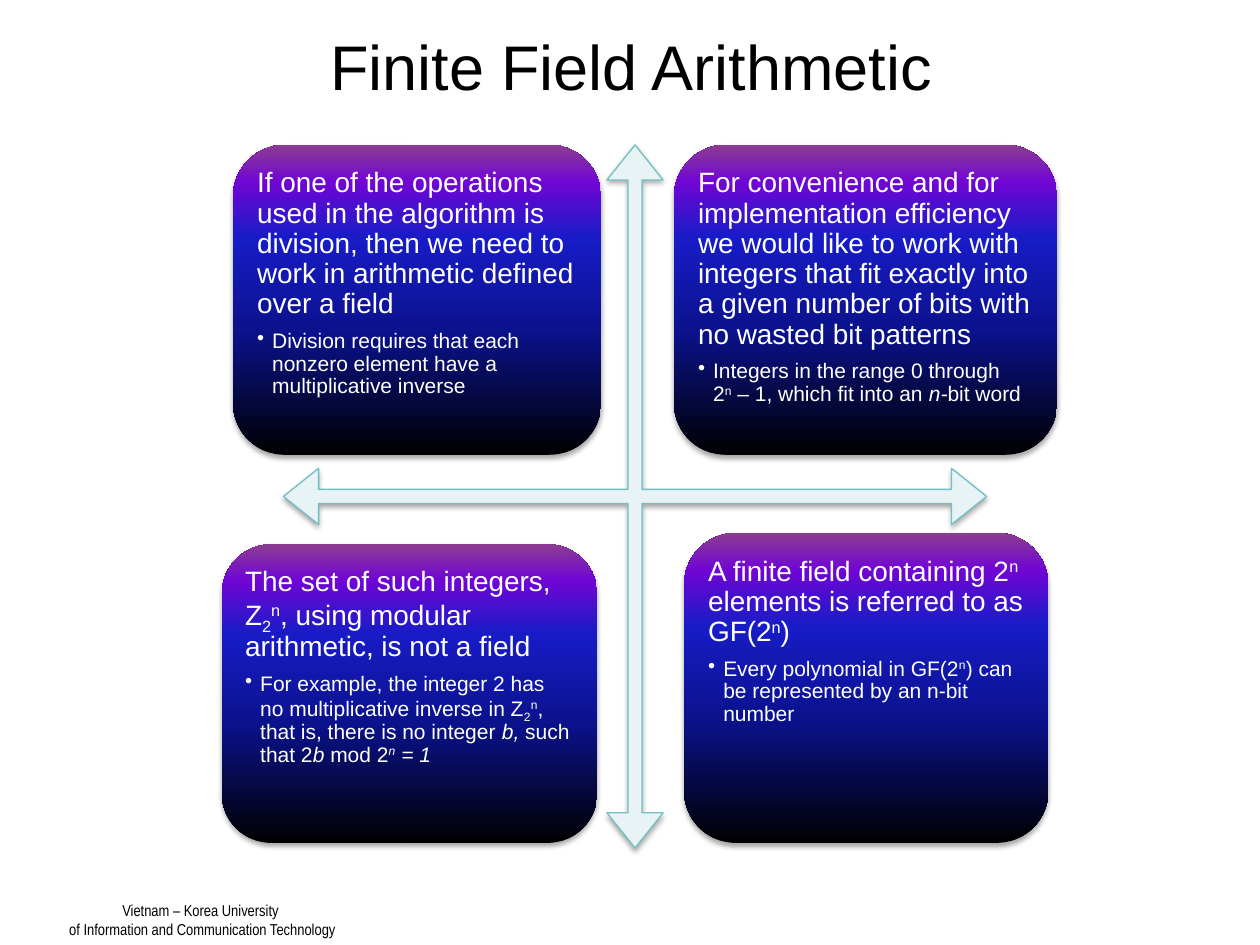
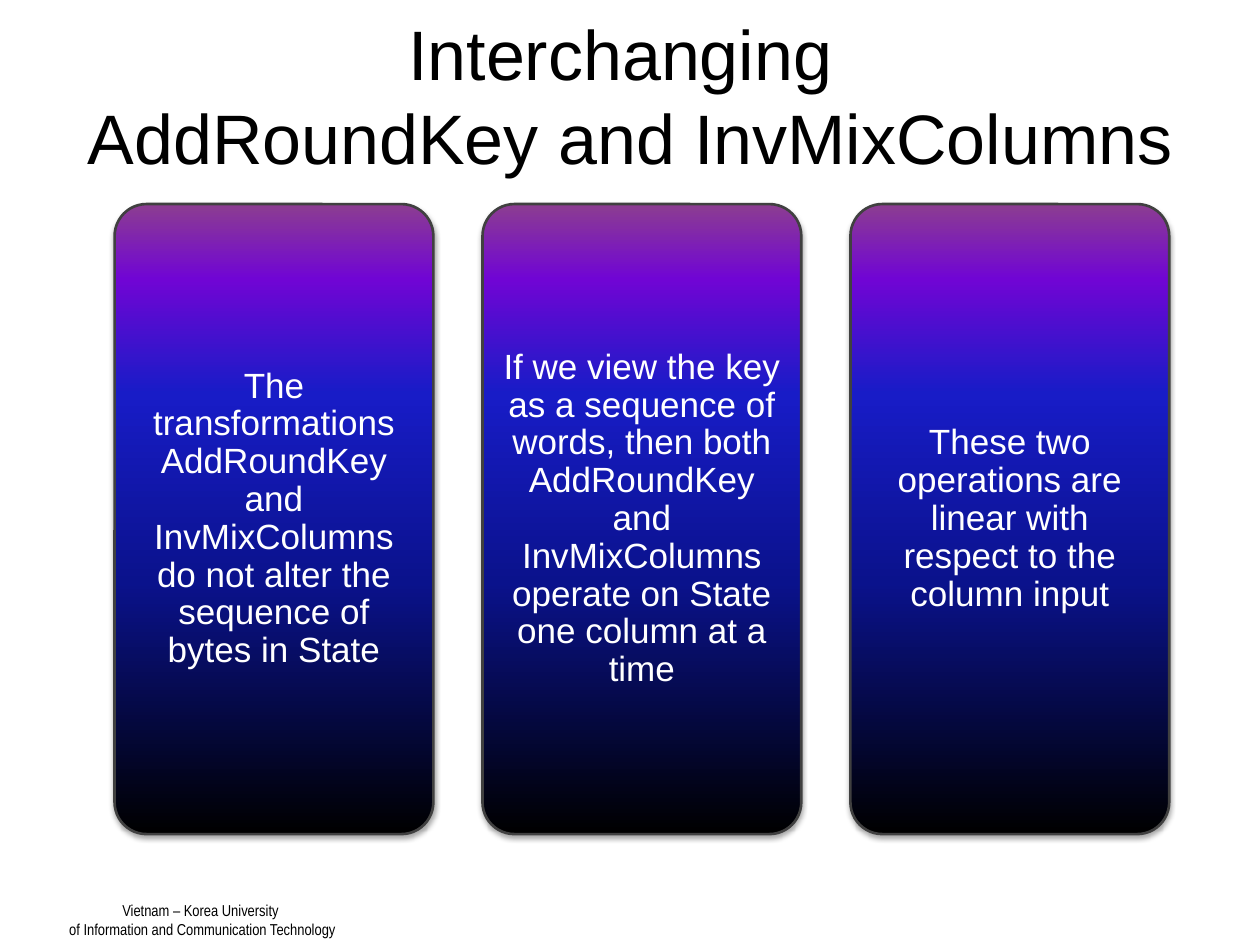
import pptx
import pptx.util
import pptx.dml.color
import pptx.enum.shapes
import pptx.enum.text
import pptx.oxml
import pptx.oxml.ns

Inches, Pt = pptx.util.Inches, pptx.util.Pt
SHAPE = pptx.enum.shapes.MSO_SHAPE
ALIGN = pptx.enum.text.PP_ALIGN
ANCHOR = pptx.enum.text.MSO_ANCHOR
FIT = pptx.enum.text.MSO_AUTO_SIZE

FONT = "Arial"
BLACK, WHITE = "000000", "FFFFFF"
PALE, TEAL, GREY = "E7F3F4", "72BFC5", "404040"
STOPS = [(0, BLACK), (40, "0A128C"), (70, "181CC7"), (88, "7005D4"), (100, "8C3D91")]
# Marks that may open a part of a text: (font attribute, value)
MARKS = {"^": ("baseline", "30000"), "_": ("baseline", "-25000"), "/": ("i", "1")}


def color(code):
    return pptx.dml.color.RGBColor.from_string(code)


def xml(tag, inner="", attrs=""):
    space = pptx.oxml.ns.nsdecls("a")
    return pptx.oxml.parse_xml(f"<a:{tag} {space} {attrs}>{inner}</a:{tag}>")


def write(frame, text, size=16, ink=WHITE, font=FONT, align=ALIGN.LEFT,
          lead=None, after=0, bullet=False):
    """Add a paragraph; "|" splits runs, MARKS style them, a lone newline breaks."""
    para = frame.paragraphs[0]
    if para.runs:
        para = frame.add_paragraph()
    if bullet:
        props = para._p.get_or_add_pPr()
        props.set("marL", str(Inches(0.12)))
        props.set("indent", str(-Inches(0.12)))
        props.append(xml("buChar", attrs='char="•"'))
    para.alignment = align
    para.space_after = Pt(after)
    if lead:
        para.line_spacing = lead
    for part in text.split("|"):
        if part == "\n":
            para.add_line_break()
            continue
        run = para.add_run()
        run.font.size, run.font.name = Pt(size), font
        run.font.color.rgb = color(ink)
        while part[0] in MARKS:
            run.font._element.set(*MARKS[part[0]])
            part = part[1:]
        run.text = part


def place(shape, box):
    shape.left, shape.top, shape.width, shape.height = map(Inches, box)


def pad(frame, inset):
    frame.margin_left = frame.margin_right = Inches(inset)
    frame.margin_top = frame.margin_bottom = Inches(inset)


def shade(shape):
    """Give the shape a soft shadow straight below it."""
    shape.shadow.inherit = False
    props = shape.element.spPr
    tint = f'<a:srgbClr val="{BLACK}"><a:alpha val="35000"/></a:srgbClr>'
    attrs = (f'blurRad="{Pt(3.1)}" dist="{Pt(1.8)}" dir="5400000" '
             'rotWithShape="0"')
    props.find(pptx.oxml.ns.qn("a:effectLst")).append(
        xml("outerShdw", tint, attrs))


def blend(shape):
    """Fill the shape with the gradient, black at the foot."""
    shape.fill.background()
    stops = "".join(f'<a:gs pos="{at * 1000}"><a:srgbClr val="{code}"/></a:gs>'
                    for at, code in STOPS)
    props = shape.element.spPr
    props.replace(
        props.find(pptx.oxml.ns.qn("a:noFill")),
        xml("gradFill", f'<a:gsLst>{stops}</a:gsLst>'
            '<a:lin ang="16200000" scaled="0"/>', 'rotWithShape="1"'))


def edge(shape, code, width):
    shape.line.color.rgb = color(code)
    shape.line.width = Pt(width)


def card(slide, box, inset, anchor):
    shape = slide.shapes.add_shape(SHAPE.ROUNDED_RECTANGLE, *map(Inches, box))
    blend(shape)
    shape.line.fill.background()
    shade(shape)
    frame = shape.text_frame
    frame.word_wrap = True
    frame.vertical_anchor = anchor
    pad(frame, inset)
    return shape


def start(deck, text, box, size):
    """Add a slide with its title."""
    slide = deck.slides.add_slide(deck.slide_layouts[5])
    title = slide.shapes.title
    place(title, box)
    frame = title.text_frame
    frame.auto_size = FIT.NONE
    frame.word_wrap = True
    frame.vertical_anchor = ANCHOR.MIDDLE
    write(frame, text, size=size, ink=BLACK, align=ALIGN.CENTER)
    return slide


def footer(deck, slide, box):
    """Put the school's name on the slide master."""
    note = slide.shapes.add_textbox(*map(Inches, box))
    note.text_frame.word_wrap = False
    for line in ("Vietnam – Korea University ",
                 "of Information and Communication Technology"):
        write(note.text_frame, line, size=9, ink=BLACK, font="Arial Narrow",
              align=ALIGN.CENTER)
    note.element.nvSpPr.cNvPr.set("id", "20")
    deck.slide_master.element.cSld.spTree.append(note.element)


def cross(slide, box, cards):
    """Draw a four-way arrow with cards placed from its top left corner."""
    left, top = box[:2]
    arrow = slide.shapes.add_shape(SHAPE.QUAD_ARROW, *map(Inches, box))
    for i, value in enumerate((0.02, 0.04, 0.05)):
        arrow.adjustments[i] = value
    arrow.fill.solid()
    arrow.fill.fore_color.rgb = color(PALE)
    edge(arrow, TEAL, 0.75)
    shade(arrow)
    for (x, y, wide, high), head, point in cards:
        shape = card(slide, (left + x, top + y, wide, high), 0.07, ANCHOR.TOP)
        write(shape.text_frame, head, lead=0.9, after=6)
        write(shape.text_frame, point, size=12, lead=0.9, bullet=True)


def row(slide, box, texts, gap):
    """Draw equal cards side by side."""
    left, top, wide, high = box
    each = (wide - gap * (len(texts) - 1)) / len(texts)
    for i, text in enumerate(texts):
        shape = card(slide, (left + i * (each + gap), top, each, high),
                     0.08, ANCHOR.MIDDLE)
        shape.adjustments[0] = 0.1
        edge(shape, GREY, 1.5)
        write(shape.text_frame, text, size=20, align=ALIGN.CENTER, lead=0.9)


FIELD = [
    ((-0.4, 0, 2.92, 2.46),
     "If one of the operations used in the algorithm is division, then we need "
     "to work in arithmetic defined over a field",
     "Division requires that each nonzero element have a multiplicative inverse"),
    ((3.1, 0, 3.04, 2.46),
     "For convenience and for implementation efficiency we would like to work "
     "with integers that fit exactly into a given number of bits with no wasted "
     "bit patterns",
     "Integers in the range 0 through|\n|2|^n| – 1, which fit into an |/n-|bit word"),
    ((-0.49, 3.17, 2.98, 2.37),
     "The set of such integers, Z|_2|^n|, using modular arithmetic, is not a field",
     "For example, the integer 2 has no multiplicative inverse in Z|_2|^n|, that "
     "is, there is no integer |/b, |such that 2|/b |mod 2|/^n|/ = 1"),
    ((3.18, 3.08, 2.89, 2.46),
     "A finite field containing 2|^n| elements is referred to as GF(2|^n|)",
     "Every polynomial in GF(2|^n|) can be represented by an n-bit number"),
]
STEPS = [
    "The transformations AddRoundKey and InvMixColumns do not alter the sequence "
    "of bytes in State",
    "If we view the key as a sequence of words, then both AddRoundKey and "
    "InvMixColumns operate on State one column at a time",
    "These two operations are linear with respect to the column input",
]


def main():
    deck = pptx.Presentation()
    deck.slide_width, deck.slide_height = Inches(10), Inches(7.5)

    slide = start(deck, "Finite Field Arithmetic", (0.51, 0.13, 9, 0.77), 36)
    footer(deck, slide, (0.43, 7.1, 2.35, 0.4))
    cross(slide, (2.25, 1.15, 5.58, 5.58), FIELD)

    slide = start(deck, "Interchanging |\n|AddRoundKey and InvMixColumns",
                  (0, 0.04, 10, 1.42), 40)
    row(slide, (0.91, 1.62, 8.37, 5), STEPS, 0.39)

    deck.save("out.pptx")


if __name__ == "__main__":
    main()
